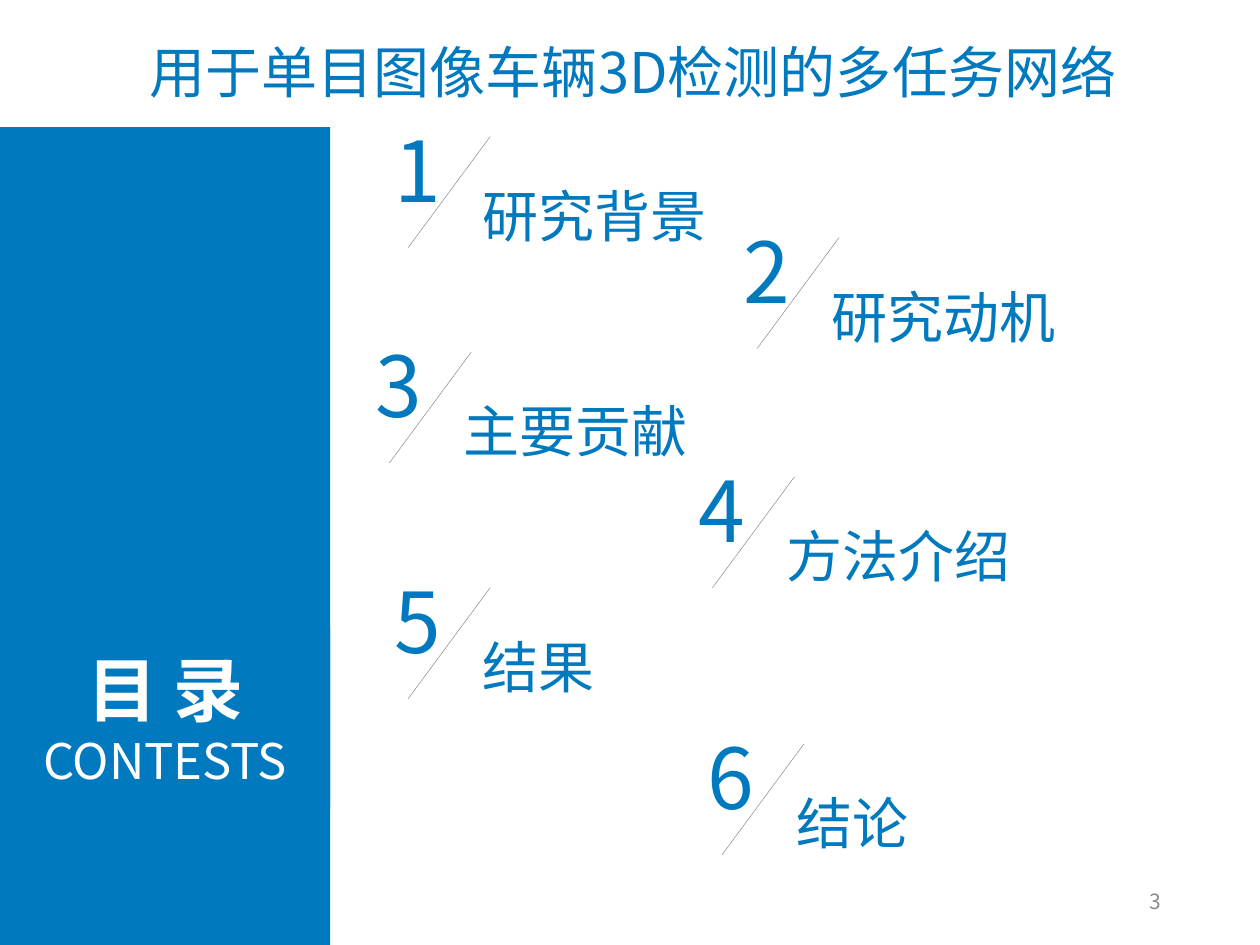
from lxml import etree
from pptx import Presentation, util as u
from pptx.dml.color import RGBColor
from pptx.enum import shapes, text
from pptx.oxml.ns import qn

FONT = "Noto Sans CJK SC"
BLUE, WHITE, GREY, LINE_GREY = "0079BF", "FFFFFF", "8C8C8C", "808080"

presentation = Presentation()
presentation.slide_width, presentation.slide_height = u.Inches(10), u.Inches(7.5)
slide = presentation.slides.add_slide(presentation.slide_layouts[6])

# Grid of 100 columns by 75 rows
column = presentation.slide_width / 100
row = presentation.slide_height / 75


def place(left, top, width, height):
    return [int(n) for n in (left * column, top * row, width * column, height * row)]


def add_run(paragraph, words, size, color, bold=False):
    run = paragraph.add_run()
    run.text = words
    run.font.size, run.font.bold = u.Pt(size), bold
    run.font.color.rgb = RGBColor.from_string(color)
    run.font.name = FONT
    east_asian = etree.SubElement(run.font._element, qn("a:ea"))
    east_asian.set("typeface", FONT)


# Side panel, with the contents heading in its lower band
for top, height in ((10.1, 64.9), (49.8, 14.3)):
    panel = slide.shapes.add_shape(shapes.MSO_SHAPE.RECTANGLE, *place(0, top, 26.2, height))
    panel.shadow.inherit = False
    panel.fill.solid()
    panel.fill.fore_color.rgb = RGBColor.from_string(BLUE)
    panel.line.fill.background()

heading = panel.text_frame
heading.vertical_anchor = text.MSO_ANCHOR.MIDDLE
add_run(heading.paragraphs[0], "目 录", 40, WHITE, bold=True)
add_run(heading.add_paragraph(), "CONTESTS", 28, WHITE)
for paragraph in heading.paragraphs:
    paragraph.alignment = text.PP_ALIGN.CENTER

# Title
title = slide.shapes.add_textbox(*place(10.9, 2.5, 82.3, 6.4)).text_frame
title.word_wrap = True
add_run(title.paragraphs[0], "用于单目图像车辆3D检测的多任务网络", 32, BLUE)

# Contents: number, slash and topic, each set from the number's corner
topics = [
    ("研究背景", 30.3, 8.9),
    ("研究动机", 58, 16.9),
    ("主要贡献", 28.8, 26),
    ("方法介绍", 54.45, 35.9),
    ("结果", 30.3, 44.7),
    ("结论", 55.2, 57.1),
]
for number, (topic, left, top) in enumerate(topics, start=1):
    group = slide.shapes.add_group_shape()

    label = group.shapes.add_textbox(*place(left, top, 6, 9.1)).text_frame
    label.word_wrap = False
    add_run(label.paragraphs[0], str(number), 48, BLUE)

    start_x, start_y, end_x, end_y = place(left + 8.6, top + 1.95, left + 2.1, top + 10.75)
    slash = group.shapes.add_connector(
        shapes.MSO_CONNECTOR.STRAIGHT, start_x, start_y, end_x, end_y)
    slash.line.color.rgb = RGBColor.from_string(LINE_GREY)
    slash.line.width = u.Pt(0.25)
    etree.SubElement(slash._element.spPr, qn("a:effectLst"))

    name = group.shapes.add_textbox(*place(left + 7, top + 5, 46.4, 6.4)).text_frame
    name.word_wrap = True
    add_run(name.paragraphs[0], topic, 32, BLUE)

# Page number
page = slide.shapes.add_textbox(*place(70.6, 69.5, 22.5, 4)).text_frame
page.word_wrap = True
page.vertical_anchor = text.MSO_ANCHOR.MIDDLE
page.paragraphs[0].alignment = text.PP_ALIGN.RIGHT
add_run(page.paragraphs[0], "3", 12, GREY)

presentation.save("out.pptx")
